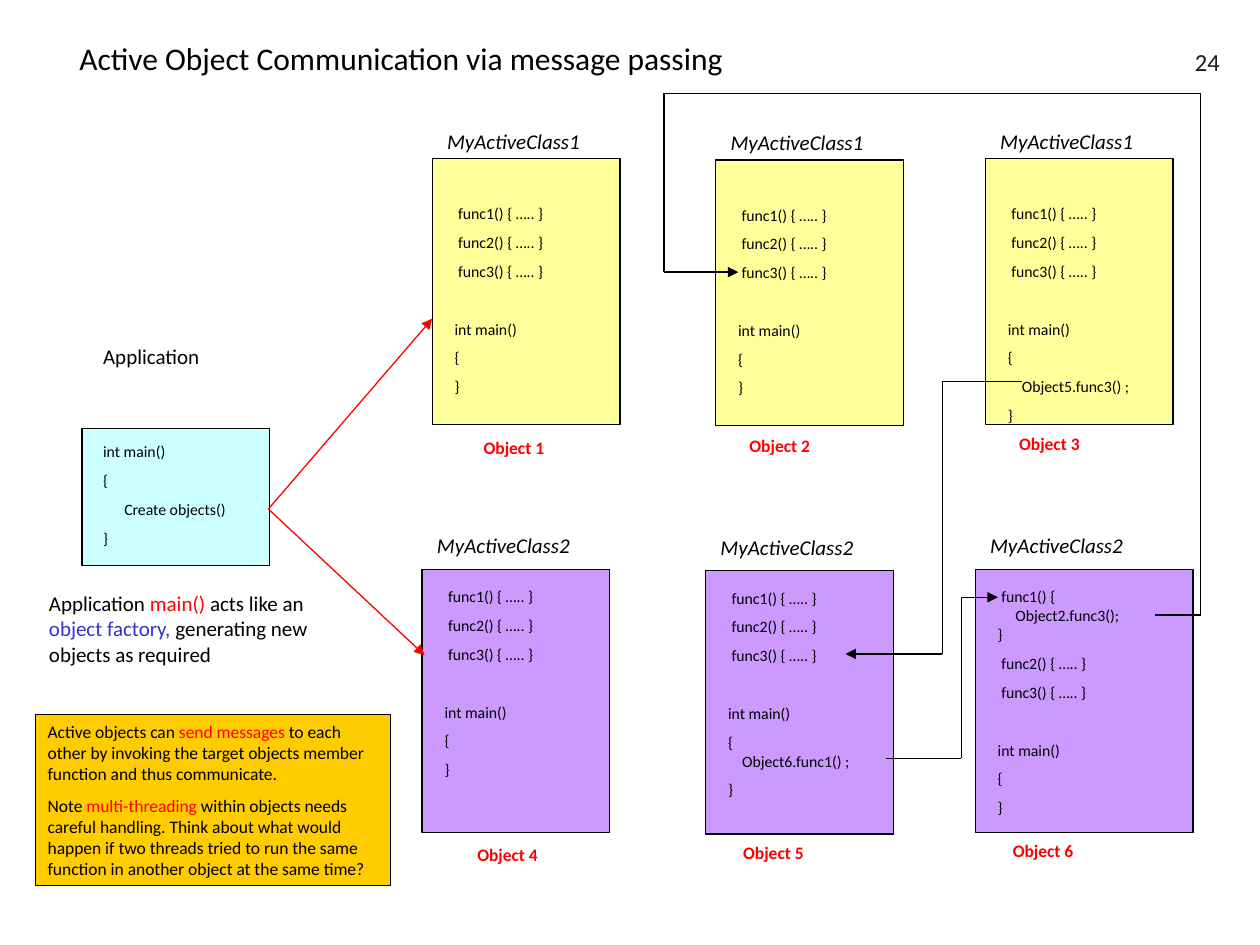
"""Builds the slide on active objects that communicate by message passing."""
from itertools import pairwise

from pptx import Presentation
from pptx.dml.color import RGBColor
from pptx.enum.shapes import MSO_CONNECTOR as Connector, MSO_SHAPE as Shape
from pptx.enum.text import MSO_ANCHOR as Anchor, MSO_AUTO_SIZE as AutoSize, PP_ALIGN as Align
from pptx.oxml.ns import qn
from pptx.util import Inches, Pt

COLORS = {"black": "000000", "red": "FF0000", "blue": "3333CC", "grey": "1C1C1C",
          "yellow": "FFFF99", "purple": "CC99FF", "cyan": "CCFFFF", "orange": "FFCC00"}
FONT = "Calibri"
SPACE_WIDTH = 0.028
LINE, GAP, TIGHT = 5.6, 22.2, 0

TITLE = "Active Object Communication via message passing"
FUNCTIONS = [(f"func{number}() {{ ….. }}", 1, LINE) for number in (1, 2, 3)]
MAIN_OPEN = [("int main()", 0, GAP), ("{", 0, LINE)]
CLOSE = [("}", 0, LINE)]
PLAIN = FUNCTIONS + MAIN_OPEN + CLOSE
CALLS_5 = FUNCTIONS + MAIN_OPEN + [("Object5.func3() ;", 4, LINE)] + CLOSE
CALLS_6 = FUNCTIONS + MAIN_OPEN + [("Object6.func1() ;", 4, TIGHT)] + CLOSE
CALLS_2 = [("func1() {", 1, LINE), ("Object2.func3();", 5, TIGHT), ("}", 0, TIGHT),
           *FUNCTIONS[1:], *MAIN_OPEN, *CLOSE]
FACTORY = [("int main()", 0, LINE), ("{", 0, LINE), ("Create objects()", 6, LINE), ("}", 0, LINE)]

COLUMNS = [{"left": 3.43, "drop": 0, "name_left": 3.74, "name_rise": 0},
           {"left": 5.68, "drop": 0.01, "name_left": 5.85, "name_rise": 0.02},
           {"left": 7.82, "drop": 0, "name_left": 7.99, "name_rise": 0.03}]
ROWS = [
    {"class": "MyActiveClass1", "fill": "yellow", "top": 1.26, "height": 2.11, "shift": 0,
     "class_top": 0.97, "code_top": 1.57, "name_top": 3.42, "name_shift": 0,
     "widths": (1.49, 1.49, 1.49), "code": (PLAIN, PLAIN, CALLS_5)},
    {"class": "MyActiveClass2", "fill": "purple", "top": 4.52, "height": 2.09, "shift": -0.08,
     "class_top": 4.18, "code_top": 4.61, "name_top": 6.65, "name_shift": -0.05,
     "widths": (1.49, 1.49, 1.73), "code": (PLAIN, CALLS_6, CALLS_2)},
]
FACTORY_NOTE = [[("Application ", "black"), ("main()", "red"), (" acts like an ", "black"),
                 ("object factory,", "blue"), (" generating new objects as required", "black")]]
MESSAGE_NOTE = [
    [("Active objects can ", "black"), ("send messages", "red"),
     (" to each other by invoking the target objects member function and thus communicate.", "black")],
    [("Note ", "black"), ("multi-threading", "red"),
     (" within objects needs careful handling. Think about what would happen if two threads "
      "tried to run the same function in another object at the same time?", "black")],
]
ROUTES = [
    ("red", [(2.13, 4.04), (3.43, 2.53)]),
    ("red", [(2.13, 4.04), (3.37, 5.2)]),
    ("black", [(8.11, 3.03), (7.48, 3.03), (7.48, 5.19), (6.71, 5.19)]),
    ("black", [(7.03, 6.02), (7.63, 6.02), (7.63, 4.74), (7.92, 4.74)]),
    ("black", [(9.17, 4.88), (9.53, 4.88), (9.53, 0.74), (5.27, 0.74), (5.27, 2.16), (5.86, 2.16)]),
]


def color(name):
    return RGBColor.from_string(COLORS[name])


def apply(target, **values):
    for name, value in values.items():
        setattr(target, name, value)


def place(shape, left, top, width, height):
    apply(shape, left=Inches(left), top=Inches(top), width=Inches(width), height=Inches(height))


def add_run(paragraph, text, size, shade, **style):
    run = paragraph.add_run()
    run.text = text
    apply(run.font, name=FONT, size=Pt(size), **style)
    run.font.color.rgb = color(shade)


def write(shape, paragraphs, size, align=Align.LEFT, anchor=Anchor.TOP, **style):
    frame = shape.text_frame
    apply(frame, word_wrap=True, auto_size=AutoSize.NONE, vertical_anchor=anchor)
    for index, runs in enumerate(paragraphs):
        paragraph = frame.add_paragraph() if index else frame.paragraphs[0]
        apply(paragraph, alignment=align, space_before=Pt(size * 0.62 if index else 0))
        for text, shade in runs:
            add_run(paragraph, text, size, shade, **style)


def add_text(slide, area, paragraphs, size, **style):
    box = slide.shapes.add_textbox(*map(Inches, area))
    write(box, paragraphs, size, **style)


def add_code(slide, area, lines):
    box = slide.shapes.add_textbox(*map(Inches, area))
    write(box, [[(text, "black")] for text, _, _ in lines], 9)
    for index, (paragraph, (_, spaces, before)) in enumerate(zip(box.text_frame.paragraphs, lines)):
        paragraph.space_before = Pt(before if index else 0)
        paragraph._p.get_or_add_pPr().set("marL", str(Inches(spaces * SPACE_WIDTH)))


def add_box(slide, area, fill):
    box = slide.shapes.add_shape(Shape.RECTANGLE, *map(Inches, area))
    box.shadow.inherit = False
    box.fill.solid()
    box.fill.fore_color.rgb = color(fill)
    box.line.color.rgb = color("black")
    box.line.width = Pt(0.75)
    return box


def add_route(slide, shade, points):
    for start, end in pairwise(points):
        connector = slide.shapes.add_connector(Connector.STRAIGHT, *map(Inches, start + end))
        connector.line.color.rgb = color(shade)
        connector.line.width = Pt(0.75)
        properties = connector._element.spPr
        properties.append(properties.makeelement(qn("a:effectLst"), {}))
    outline = connector.line._get_or_add_ln()
    outline.append(outline.makeelement(qn("a:tailEnd"), {"type": "triangle"}))


def add_objects(slide):
    for row_index, row in enumerate(ROWS):
        for column_index, column in enumerate(COLUMNS):
            left, drop = column["left"] + row["shift"], column["drop"]
            width = row["widths"][column_index]
            number = row_index * len(COLUMNS) + column_index + 1
            add_box(slide, (left, row["top"] + drop, width, row["height"]), row["fill"])
            add_code(slide, (left + 0.08, row["code_top"] + drop, width + 0.06, 1.85),
                     row["code"][column_index])
            add_text(slide, (left + 0.02, row["class_top"] + drop, 1.9, 0.3),
                     [[(row["class"], "black")]], 12, italic=True)
            name_area = (column["name_left"] + row["name_shift"],
                         row["name_top"] - column["name_rise"], 1.06, 0.27)
            add_text(slide, name_area, [[(f"Object {number}", "red")]], 10, bold=True)


def main():
    presentation = Presentation()
    apply(presentation, slide_width=Inches(10), slide_height=Inches(7.5))
    slide = presentation.slides.add_slide(presentation.slide_layouts[5])
    place(slide.shapes.title, 0.53, 0.26, 7.37, 0.4)
    write(slide.shapes.title, [[(TITLE, "black")]], 18)
    add_text(slide, (7.7, 0.16, 2.08, 0.5), [[("24", "grey")]], 14,
             align=Align.RIGHT, anchor=Anchor.BOTTOM)
    add_objects(slide)
    add_box(slide, (0.65, 3.4, 1.49, 1.09), "cyan")
    add_code(slide, (0.72, 3.46, 1.55, 0.95), FACTORY)
    add_text(slide, (0.72, 2.68, 1.21, 0.3), [[("Application", "black")]], 12)
    add_text(slide, (0.29, 4.64, 2.32, 0.7), FACTORY_NOTE, 12)
    for shade, points in ROUTES:
        add_route(slide, shade, points)
    write(add_box(slide, (0.28, 5.67, 2.82, 1.36), "orange"), MESSAGE_NOTE, 10)
    presentation.save("out.pptx")


if __name__ == "__main__":
    main()
